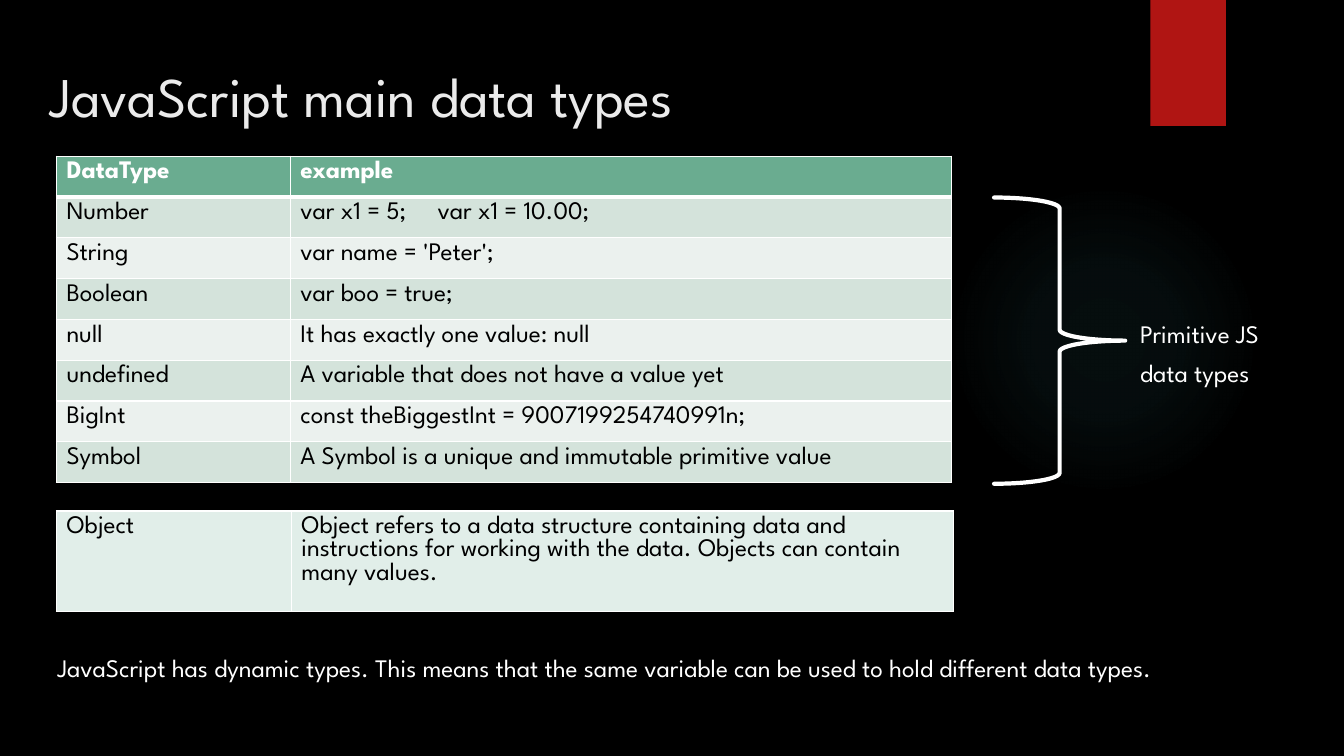
"""Build a slide on the main data types of JavaScript."""
from lxml.etree import SubElement
from pptx import Presentation
from pptx.dml.color import RGBColor
from pptx.enum.shapes import MSO_SHAPE
from pptx.enum.text import MSO_ANCHOR, PP_ALIGN
from pptx.oxml import parse_xml
from pptx.oxml.ns import nsdecls, qn
from pptx.util import Inches, Pt

FONT = "League Spartan"
WHITE, BLACK = "FFFFFF", "000000"
TITLE = "JavaScript main data types"
TYPES = [
    ("DataType", "example"),
    ("Number", "var x1 = 5;\tvar x1 = 10.00;"),
    ("String", "var name = 'Peter';"),
    ("Boolean", "var boo = true;"),
    ("null", "It has exactly one value: null"),
    ("undefined", "A variable that does not have a value yet"),
    ("BigInt", "const theBiggestInt = 9007199254740991n;"),
    ("Symbol", "A Symbol is a unique and immutable primitive value"),
]
OBJECT = [("Object", "Object refers to a data structure containing data and "
           "instructions for working with the data. Objects can contain many values.")]
HEAD, BANDS, PALE = "6AAC90", ("EBF1EE", "D4E3DB"), "E1EEE9"
NOTES = [
    ("Primitive JS data types", (11.21, 3.02, 1.83, 0.71)),
    ("JavaScript has dynamic types. This means that the same variable can be "
     "used to hold different data types.", (0.47, 6.33, 12.31, 0.71)),
]
GLOW, STOPS = "50B9C1", [(0, 7), (36, 6), (69, 0)]


def color(text):
    return RGBColor.from_string(text)


def place(box):
    return [Inches(n) for n in box]


def style(para, tone, size=18, bold=False):
    font = para.font
    font.name, font.size, font.bold = FONT, Pt(size), bold
    font.color.rgb = color(tone)


def add_shape(slide, kind, box):
    shape = slide.shapes.add_shape(kind, *place(box))
    shape.shadow.inherit = False
    shape.line.fill.background()
    return shape


def add_glow(slide):
    glow = add_shape(slide, MSO_SHAPE.OVAL, (9.41, 1.83, 3.08, 3.08))
    stops = "".join(
        f'<a:gs pos="{pos * 1000}"><a:srgbClr val="{GLOW}">'
        f'<a:alpha val="{alpha * 1000}"/></a:srgbClr></a:gs>' for pos, alpha in STOPS)
    fill = parse_xml(
        f'<a:gradFill {nsdecls("a")} rotWithShape="1"><a:gsLst>{stops}</a:gsLst>'
        '<a:path path="circle"><a:fillToRect l="50000" t="50000" r="50000" b="50000"/>'
        '</a:path></a:gradFill>')
    glow.element.spPr.find(qn("a:prstGeom")).addnext(fill)


def add_edges(cell, head):
    props = cell._tc.get_or_add_tcPr()
    for side in "LRTB":
        width = 3 if head and side == "B" else 1
        edge = SubElement(props, qn(f"a:ln{side}"), w=str(Pt(width)))
        fill = SubElement(edge, qn("a:solidFill"))
        SubElement(fill, qn("a:srgbClr"), val=WHITE)


def add_table(slide, rows, box, cols, fills, head=False):
    table = slide.shapes.add_table(len(rows), len(cols), *place(box)).table
    table.first_row, table.horz_banding = head, False
    for col, width in zip(table.columns, cols):
        col.width = Inches(width)
    for r, row in enumerate(rows):
        top = head and r == 0
        for c, text in enumerate(row):
            cell = table.cell(r, c)
            cell.text = text
            add_edges(cell, top)
            cell.fill.solid()
            cell.fill.fore_color.rgb = color(fills[r])
            para = cell.text_frame.paragraphs[0]
            if "\t" in text:
                tabs = SubElement(para._p.get_or_add_pPr(), qn("a:tabLst"))
                SubElement(tabs, qn("a:tab"), pos=str(Inches(1.36)), algn="l")
            style(para, WHITE if top else BLACK, bold=top)


def add_note(slide, text, box):
    frame = slide.shapes.add_textbox(*place(box)).text_frame
    frame.word_wrap = True
    para = frame.paragraphs[0]
    para.text, para.line_spacing = text, 1.3
    style(para, WHITE)


def main():
    deck = Presentation()
    deck.slide_width, deck.slide_height = Inches(13.33), Inches(7.5)
    slide = deck.slides.add_slide(deck.slide_layouts[5])
    slide.background.fill.solid()
    slide.background.fill.fore_color.rgb = color(BLACK)

    add_glow(slide)
    flag = add_shape(slide, MSO_SHAPE.RECTANGLE, (11.41, 0, 0.75, 1.25))
    flag.fill.solid()
    flag.fill.fore_color.rgb = color("B01513")

    title = slide.shapes.title
    title.left, title.top, title.width, title.height = place((0.39, 0.5, 11.05, 0.88))
    title.text_frame.text = TITLE
    title.text_frame.vertical_anchor = MSO_ANCHOR.MIDDLE
    para = title.text_frame.paragraphs[0]
    para.alignment = PP_ALIGN.LEFT
    style(para, "EBEBEB", 40)

    fills = [HEAD] + [BANDS[r % 2] for r in range(1, len(TYPES))]
    add_table(slide, TYPES, (0.56, 1.55, 8.88, 3.24), (2.32, 6.56), fills, True)
    add_table(slide, OBJECT, (0.56, 5.07, 8.9, 1), (2.33, 6.57), [PALE])

    brace = add_shape(slide, MSO_SHAPE.RIGHT_BRACE, (9.86, 1.96, 1.3, 2.84))
    brace.fill.background()
    brace.line.color.rgb = color(WHITE)
    brace.line.width = Pt(3)
    brace.element.spPr.find(qn("a:ln")).set("cap", "rnd")

    for text, box in NOTES:
        add_note(slide, text, box)
    deck.save("out.pptx")


if __name__ == "__main__":
    main()
